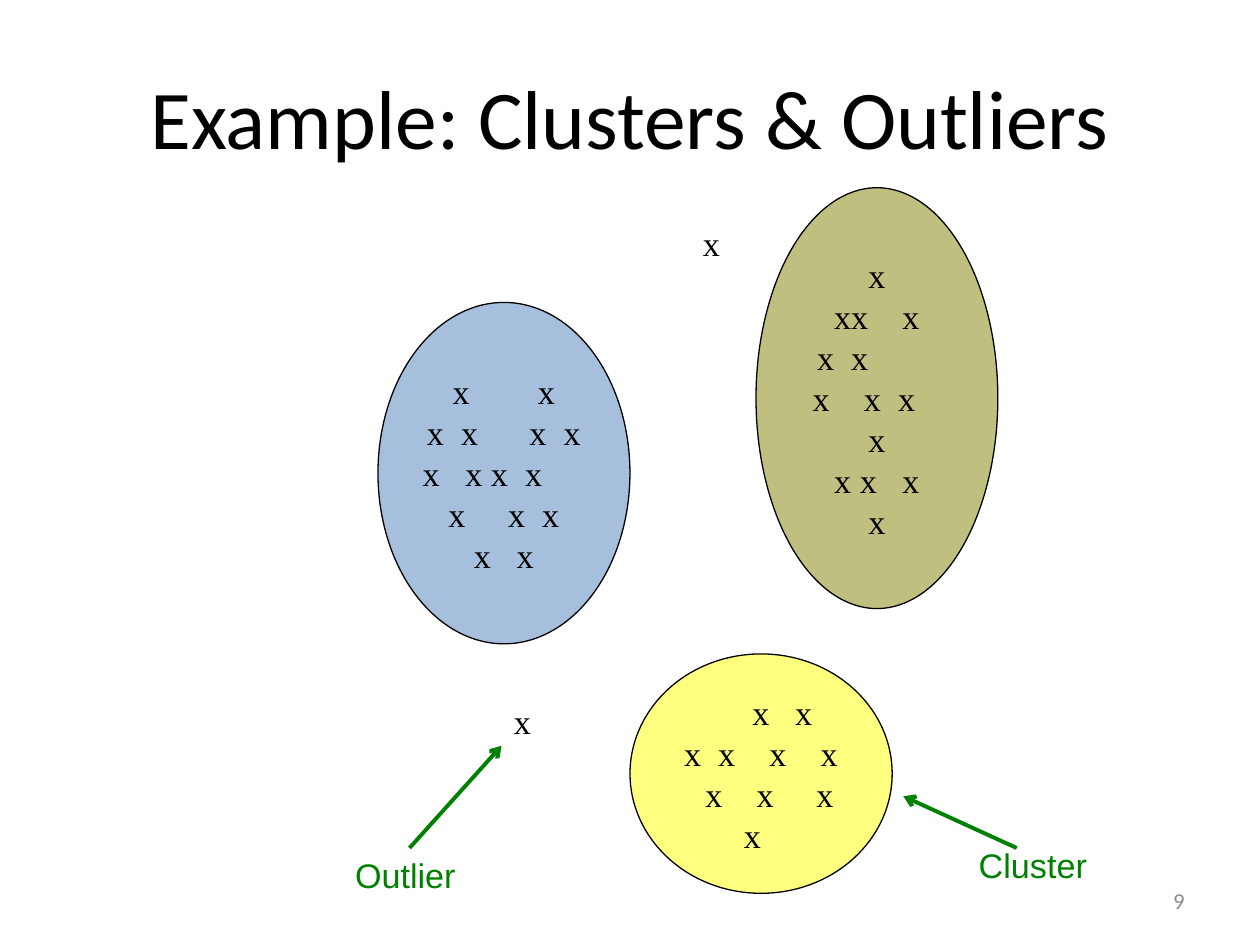
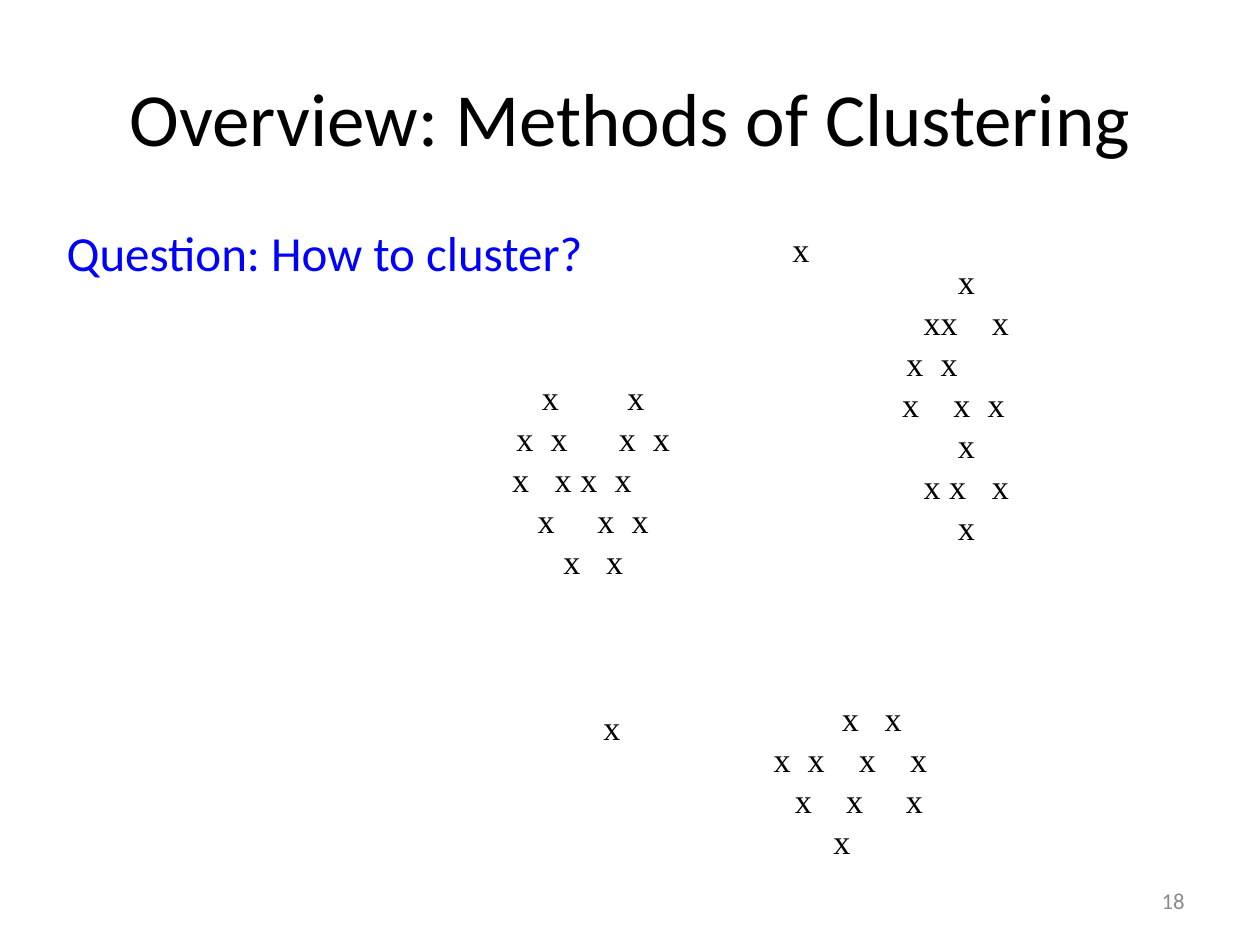
from pptx import Presentation
from pptx.dml.color import RGBColor
from pptx.enum.shapes import MSO_CONNECTOR, MSO_SHAPE
from pptx.enum.text import MSO_ANCHOR, MSO_AUTO_SIZE, PP_ALIGN
from pptx.oxml.ns import qn
from pptx.util import Pt
from lxml.etree import SubElement

BLACK, GREEN, BLUE, GREY = "000000", "008000", "0000FF", "8C8C8C"
BODY, POINTS, LABELS = "Calibri", "Times New Roman", "Arial"
TEXT_SIZE = 19.5

# Boxes are left, top, width, height. Spaces in a row place its data points.
CLUSTERS = [
    {"box": (216, 172.8, 144, 195.1), "color": "4F81BD",
     "rows": ["x        x", "x  x      x  x", "x   x x  x     ",
              "x     x  x", "x   x"]},
    {"box": (432, 107.3, 138.2, 240.5), "color": "808000",
     "rows": ["x", "xx    x", "x  x        ", "x    x  x   ",
              "x", "x x   x", "x"]},
    {"box": (360, 373.7, 149.8, 136.8), "color": "FFFF00",
     "rows": ["     x   x", "x  x    x    x", "  x    x     x", "x  "]},
]
OUTLIERS = [(394.6, 123.8, 24.5, 31), (286.6, 396.7, 24.5, 31)]
CALLOUTS = [
    {"text": "Outlier", "box": (195.8, 484.6, 72.7, 31),
     "arrow": (234, 484.6, 286.6, 426.2)},
    {"text": "Cluster", "box": (552.2, 478.8, 77, 31),
     "arrow": (581, 484.6, 516.2, 455)},
]
SLIDES = [
    {"title": "Example: Clusters & Outliers", "title_size": 47.7,
     "number": "9", "shift": (0, 0), "filled": True, "callouts": CALLOUTS},
    {"title": "Overview: Methods of Clustering", "title_size": 42.9,
     "number": "18", "shift": (51.1, 3.2), "filled": False, "callouts": [],
     "question": "Question: How to cluster?"},
]
TITLE_BOX = (36, 21.6, 648, 90)
NUMBER_BOX = (516.2, 500.4, 167.8, 28.8)
QUESTION_BOX = (31, 123.8, 313.2, 41)


def rgb(color):
    """Turn a hex string into a colour."""
    return RGBColor.from_string(color)


def points(lengths):
    """Turn numbers into point lengths."""
    return [Pt(length) for length in lengths]


def moved(box, shift):
    """Move a box right and down."""
    return (box[0] + shift[0], box[1] + shift[1], *box[2:])


def write(shape, *rows, size=TEXT_SIZE, font=POINTS, color=BLACK,
          align=PP_ALIGN.LEFT, anchor=MSO_ANCHOR.TOP, wrap=False, grow=False):
    """Put one paragraph per row into a shape."""
    frame = shape.text_frame
    frame.word_wrap = wrap
    frame.vertical_anchor = anchor
    frame.auto_size = (MSO_AUTO_SIZE.SHAPE_TO_FIT_TEXT if grow
                       else MSO_AUTO_SIZE.NONE)
    for index, row in enumerate(rows):
        paragraph = frame.add_paragraph() if index else frame.paragraphs[0]
        paragraph.alignment = align
        run = paragraph.add_run()
        run.text = row
        run.font.size, run.font.name = Pt(size), font
        run.font.color.rgb = rgb(color)


def add_text(slide, box, text, **style):
    """Add a text box."""
    write(slide.shapes.add_textbox(*points(box)), text, **style)


def add_cluster(slide, cluster, shift, filled):
    """Add an ellipse of data points, with or without a half-clear fill."""
    box = moved(cluster["box"], shift)
    ellipse = slide.shapes.add_shape(MSO_SHAPE.OVAL, *points(box))
    ellipse.shadow.inherit = False
    if filled:
        ellipse.fill.solid()
        ellipse.fill.fore_color.rgb = rgb(cluster["color"])
        tint = ellipse.fill._xPr.find(".//" + qn("a:srgbClr"))
        SubElement(tint, qn("a:alpha"), val="50000")
        ellipse.line.color.rgb = rgb(BLACK)
        ellipse.line.width = Pt(0.75)
    else:
        ellipse.fill.background()
        ellipse.line.fill.background()
    write(ellipse, *cluster["rows"], align=PP_ALIGN.CENTER,
          anchor=MSO_ANCHOR.MIDDLE)


def add_callout(slide, callout):
    """Add a label and its arrow."""
    arrow = slide.shapes.add_connector(MSO_CONNECTOR.STRAIGHT,
                                       *points(callout["arrow"]))
    arrow.line.color.rgb = rgb(GREEN)
    arrow.line.width = Pt(2.25)
    SubElement(arrow.line._get_or_add_ln(), qn("a:tailEnd"), type="arrow")
    SubElement(arrow._element.spPr, qn("a:effectLst"))
    add_text(slide, callout["box"], callout["text"], font=LABELS, color=GREEN,
             grow=True)


def add_slide(deck, content):
    """Build one slide from its content."""
    slide = deck.slides.add_slide(deck.slide_layouts[6])
    add_text(slide, NUMBER_BOX, content["number"], size=13, font=BODY,
             color=GREY, align=PP_ALIGN.RIGHT, anchor=MSO_ANCHOR.MIDDLE,
             wrap=True)
    add_text(slide, TITLE_BOX, content["title"], size=content["title_size"],
             font=BODY, align=PP_ALIGN.CENTER, anchor=MSO_ANCHOR.MIDDLE,
             wrap=True)
    for cluster in CLUSTERS:
        add_cluster(slide, cluster, content["shift"], content["filled"])
    for box in OUTLIERS:
        add_text(slide, moved(box, content["shift"]), "x", grow=True)
    for callout in content["callouts"]:
        add_callout(slide, callout)
    if "question" in content:
        add_text(slide, QUESTION_BOX, content["question"], size=28, font=BODY,
                 color=BLUE, grow=True)


deck = Presentation()
deck.slide_width, deck.slide_height = Pt(720), Pt(540)
for content in SLIDES:
    add_slide(deck, content)
deck.save("out.pptx")
